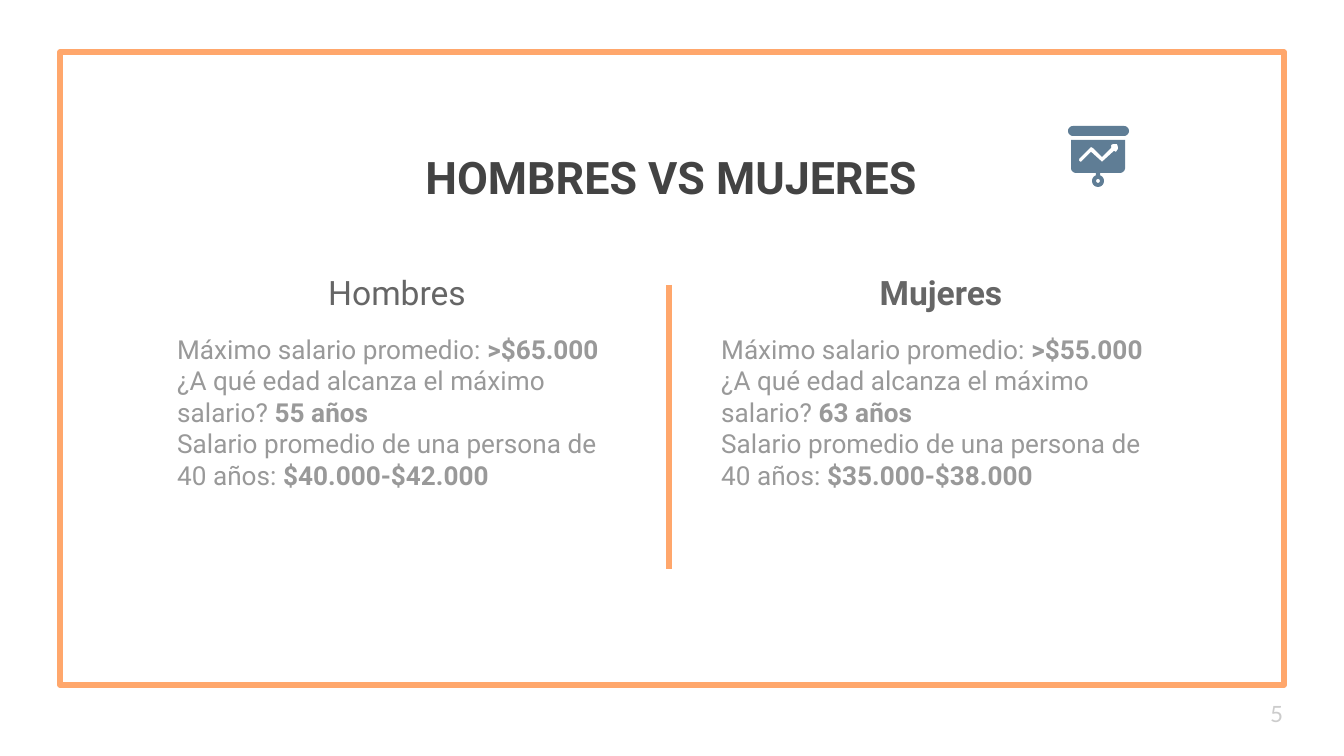
"""Build a slide that compares the salaries of men and women."""
import math

from lxml import etree
from pptx import Presentation
from pptx.dml.color import RGBColor
from pptx.enum import shapes, text
from pptx.oxml.ns import qn
from pptx.util import Pt

PX = 914400 / 134.4
ORANGE = RGBColor(0xFF, 0xA7, 0x6C)
BLUE = RGBColor(0x5F, 0x7D, 0x95)
TITLE_GREY = RGBColor(0x43, 0x43, 0x43)
HEAD_GREY = RGBColor(0x66, 0x66, 0x66)
BODY_GREY = RGBColor(0x99, 0x99, 0x99)
NUMBER_GREY = RGBColor(0xCC, 0xCC, 0xCC)

TITLE = "HOMBRES VS MUJERES"
PAGE_NUMBER = "5"
QUESTIONS = (
    "Máximo salario promedio: ",
    "¿A qué edad alcanza el máximo salario? ",
    "Salario promedio de una persona de 40 años: ",
)
COLUMNS = (
    ("Hombres", False, (">$65.000", "55 años", "$40.000-$42.000")),
    ("Mujeres", True, (">$55.000", "63 años", "$35.000-$38.000")),
)
COLUMN_LEFT, COLUMN_STEP = 164, 544
TREND = (
    (1117, 144), (1118, 147), (1118, 149), (1116, 152), (1114, 151),
    (1103, 161), (1102, 162), (1101, 161), (1091, 152), (1082, 161),
    (1081, 162), (1079, 161), (1079, 159), (1090, 148), (1091, 147),
    (1093, 148), (1102, 157), (1111, 148), (1111, 145), (1113, 144),
)


def emu(*lengths):
    return [round(length * PX) for length in lengths]


def arc(x, y, radius, start, end, steps=12):
    angles = [math.radians(start + (end - start) * i / steps) for i in range(steps + 1)]
    return [(x + radius * math.cos(a), y + radius * math.sin(a)) for a in angles]


def add_text(page, place, paragraphs, size, color, font="Roboto", **frame_format):
    box = page.shapes.add_textbox(*emu(*place))
    frame = box.text_frame
    margins = dict.fromkeys(("margin_left", "margin_right", "margin_top", "margin_bottom"), Pt(7.2))
    align = frame_format.pop("alignment", text.PP_ALIGN.LEFT)
    for name, value in {"word_wrap": True, **margins, **frame_format}.items():
        setattr(frame, name, value)
    for index, spans in enumerate(paragraphs):
        para = frame.add_paragraph() if index else frame.paragraphs[0]
        para.alignment = align
        for words, bold in spans:
            span = para.add_run()
            span.text = words
            for name, value in {"name": font, "size": Pt(size), "bold": bold}.items():
                setattr(span.font, name, value)
            span.font.color.rgb = color


def add_outline(page, contours):
    """Draw a filled outline; inner contours are holes."""
    tenths = [[(10 * x, 10 * y) for x, y in contour] for contour in contours]
    builder = page.shapes.build_freeform(*tenths[0][0], scale=PX / 10)
    for index, contour in enumerate(tenths):
        if index:
            builder.move_to(*contour[0])
        builder.add_line_segments(contour[1:], close=True)
    shape = builder.convert_to_shape()
    shape.shadow.inherit = False
    shape.fill.solid()
    shape.fill.fore_color.rgb = BLUE
    shape.line.fill.background()


def add_icon(page):
    bar = arc(1073, 131, 5, 90, 270) + arc(1124, 131, 5, -90, 90)
    ring = arc(1098, 181, 6, -70, 250, 24)
    board = [(1071, 140), (1125, 140), *arc(1120, 168, 5, 0, 90),
             (1100, 173), *ring, (1096, 173), *arc(1076, 168, 5, 90, 180)]
    add_outline(page, [bar])
    add_outline(page, [board, TREND, arc(1098, 181, 2, 360, 0)])


def main():
    deck = Presentation()
    deck.slide_width, deck.slide_height = emu(1344, 756)
    page = deck.slides.add_slide(deck.slide_layouts[6])

    frame = page.shapes.add_shape(shapes.MSO_SHAPE.RECTANGLE, *emu(60, 52, 1224, 633))
    frame.shadow.inherit = False
    frame.fill.background()
    divider = page.shapes.add_connector(shapes.MSO_CONNECTOR.STRAIGHT, *emu(669, 285, 669, 569))
    etree.SubElement(divider._element.spPr, qn("a:effectLst"))
    for shape in (frame, divider):
        shape.line.color.rgb = ORANGE
        shape.line.width = Pt(3)

    center = text.PP_ALIGN.CENTER
    add_text(page, (-1, 136, 1344, 71), [[(TITLE, True)]], 24, TITLE_GREY, alignment=center)
    add_text(page, (1257, 685, 81, 58), [[(PAGE_NUMBER, False)]], 12, NUMBER_GREY, "Lato",
             vertical_anchor=text.MSO_ANCHOR.MIDDLE)
    for index, (heading, bold, answers) in enumerate(COLUMNS):
        left = COLUMN_LEFT + index * COLUMN_STEP
        add_text(page, (left, 231, 466, 95), [[(heading, bold)]], 18, HEAD_GREY,
                 alignment=center, vertical_anchor=text.MSO_ANCHOR.BOTTOM)
        facts = [[(question, False), (answer, True)] for question, answer in zip(QUESTIONS, answers)]
        add_text(page, (left, 320, 456, 312), facts, 14, BODY_GREY)
    add_icon(page)
    deck.save("out.pptx")


if __name__ == "__main__":
    main()
